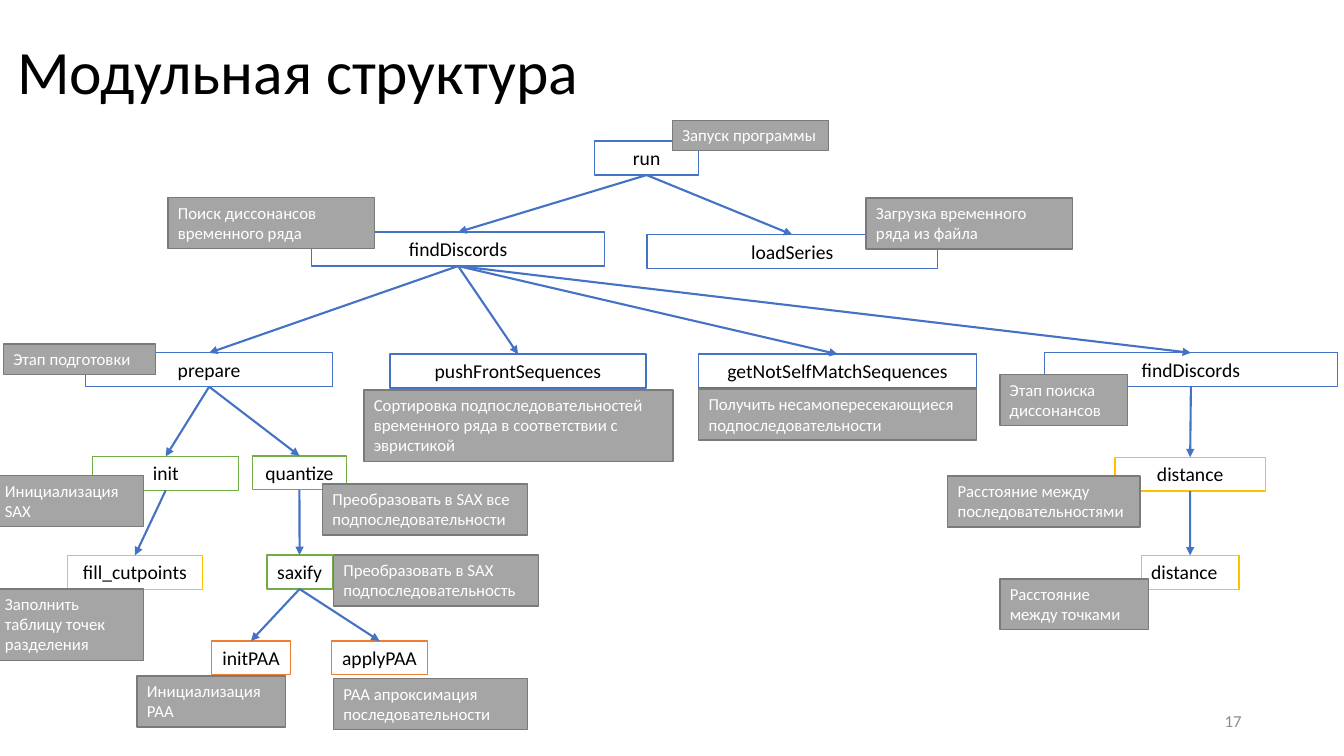
from lxml import etree
from pptx import Presentation
from pptx.dml.color import RGBColor
from pptx.enum.shapes import MSO_CONNECTOR, MSO_SHAPE
from pptx.enum.text import MSO_ANCHOR, MSO_AUTO_SIZE, PP_ALIGN
from pptx.oxml.ns import qn
from pptx.util import Pt

LEFT, CENTER, RIGHT = PP_ALIGN.LEFT, PP_ALIGN.CENTER, PP_ALIGN.RIGHT
MIDDLE, TOP = MSO_ANCHOR.MIDDLE, MSO_ANCHOR.TOP
GROW, FIXED = MSO_AUTO_SIZE.SHAPE_TO_FIT_TEXT, MSO_AUTO_SIZE.NONE
RECTANGLE, STRAIGHT = MSO_SHAPE.RECTANGLE, MSO_CONNECTOR.STRAIGHT
TOP_SITE, BOTTOM_SITE = 0, 2
MODULE_HEIGHT = 24.24
COLORS = {
    "black": "000000", "white": "FFFFFF", "number": "8C8C8C",
    "blue": "4472C4", "green": "70AD47", "yellow": "FFC000", "orange": "ED7D31",
    "note": "A5A5A5", "note_line": "7A7A7A",
}


def write(shape, text, size, color, align, anchor=TOP, fit=GROW, wrap=True):
    frame = shape.text_frame
    frame.text = text
    frame.word_wrap = wrap
    frame.auto_size = fit
    frame.vertical_anchor = anchor
    para = frame.paragraphs[0]
    para.alignment = align
    span = para.runs[0]
    span.font.name = "Calibri"
    span.font.size = Pt(size)
    span.font.color.rgb = RGBColor.from_string(COLORS[color])


def add_box(left, top, width, height, fill, line):
    box = page.shapes.add_shape(RECTANGLE, Pt(left), Pt(top), Pt(width), Pt(height))
    box.shadow.inherit = False
    box.fill.solid()
    box.fill.fore_color.rgb = RGBColor.from_string(COLORS[fill])
    box.line.color.rgb = RGBColor.from_string(COLORS[line])
    box.line.width = Pt(1)
    return box


deck = Presentation()
deck.slide_width, deck.slide_height = Pt(960), Pt(540)
page = deck.slides.add_slide(deck.slide_layouts[5])

# Title and page number
title = page.shapes.title
title.left, title.top, title.width, title.height = Pt(5), Pt(0.7), Pt(828), Pt(104.4)
write(title, "Модульная структура", 44, "black", LEFT, MIDDLE, FIXED)
title.text_frame.paragraphs[0].line_spacing = 0.9

number = page.shapes.add_textbox(Pt(678), Pt(500.5), Pt(216), Pt(28.75))
write(number, "17", 12, "number", RIGHT, MIDDLE, FIXED)

# Modules: key, name, left, top, width, outline, alignment
modules = [
    ("search", "findDiscords", 222.5, 165.8, 209.5, "blue", CENTER),
    ("run", "run", 424.8, 100.8, 74.2, "blue", CENTER),
    ("load", "loadSeries", 462.2, 167.6, 207.4, "blue", CENTER),
    ("prepare", "prepare", 61.2, 252, 176.4, "blue", CENTER),
    ("push", "pushFrontSequences", 278.6, 253, 182.9, "blue", CENTER),
    ("match", "getNotSelfMatchSequences", 499, 253, 198.7, "blue", CENTER),
    ("discords", "findDiscords", 745.9, 252, 209.5, "blue", CENTER),
    ("series_distance", "distance", 796.5, 326.6, 107.3, "yellow", CENTER),
    ("point_distance", "distance", 815.2, 396.7, 69.8, "yellow", LEFT),
    ("init", "init", 66.2, 326, 104.4, "green", CENTER),
    ("saxify", "saxify", 190.6, 396.5, 46.8, "green", CENTER),
    ("quantize", "quantize", 180.2, 325.6, 67.4, "green", CENTER),
    ("cutpoints", "fill_cutpoints", 48.2, 396.7, 96.5, "yellow", CENTER),
    ("init_paa", "initPAA", 151.2, 457.8, 56.2, "orange", CENTER),
    ("apply_paa", "applyPAA", 236.9, 457.8, 68.4, "orange", CENTER),
]
boxes = {}
for key, name, left, top, width, outline, align in modules:
    boxes[key] = add_box(left, top, width, MODULE_HEIGHT, "white", outline)
    write(boxes[key], name, 14, "black", align, wrap=align == LEFT)

# Calls from each module to the ones below it
calls = {
    "run": ["search", "load"],
    "search": ["prepare", "push", "match", "discords"],
    "discords": ["series_distance"],
    "series_distance": ["point_distance"],
    "prepare": ["init", "quantize"],
    "init": ["cutpoints"],
    "quantize": ["saxify"],
    "saxify": ["init_paa", "apply_paa"],
}
for caller, callees in calls.items():
    for callee in callees:
        arrow = page.shapes.add_connector(STRAIGHT, 0, 0, 0, 0)
        arrow.begin_connect(boxes[caller], BOTTOM_SITE)
        arrow.end_connect(boxes[callee], TOP_SITE)
        arrow.line.color.rgb = RGBColor.from_string(COLORS["blue"])
        arrow.line.width = Pt(1.5)
        etree.SubElement(arrow.line._get_or_add_ln(), qn("a:tailEnd"), type="triangle")
        etree.SubElement(arrow._element.spPr, qn("a:effectLst"))

# Notes: text, left, top, width, number of lines
notes = [
    ("Запуск программы", 480.2, 85.9, 111.6, 1),
    ("Загрузка временного ряда из файла", 618.6, 141.4, 147.6, 2),
    ("Поиск диссонансов временного ряда", 120, 141, 147.6, 2),
    ("Этап подготовки", 2.4, 245.7, 108.7, 1),
    ("Сортировка подпоследовательностей временного ряда в соответствии с эвристикой",
     259.9, 278.5, 221, 3),
    ("Получить несамопересекающиеся подпоследовательности", 499, 278, 198.5, 2),
    ("Этап поиска диссонансов", 714.2, 267.6, 91.4, 2),
    ("Расстояние между точками", 714.2, 413.5, 106, 2),
    ("Расстояние между последовательностями", 676.9, 340, 137.3, 2),
    ("Инициализация SAX", -3.6, 339.6, 106, 2),
    ("Заполнить таблицу точек разделения", -3.6, 420.6, 106, 3),
    ("Преобразовать в SAX все подпоследовательности", 230.4, 345.8, 146.6, 2),
    ("Преобразовать в SAX подпоследовательность", 238.2, 396.5, 146.6, 2),
    ("Инициализация PAA", 97.9, 482.9, 106, 2),
    ("PAA апроксимация последовательности", 238.2, 484.6, 138.6, 2),
]
for text, left, top, width, lines in notes:
    note = add_box(left, top, width, 7.2 + 14.6 * lines, "note", "note_line")
    write(note, text, 12, "white", LEFT)

deck.save("out.pptx")
